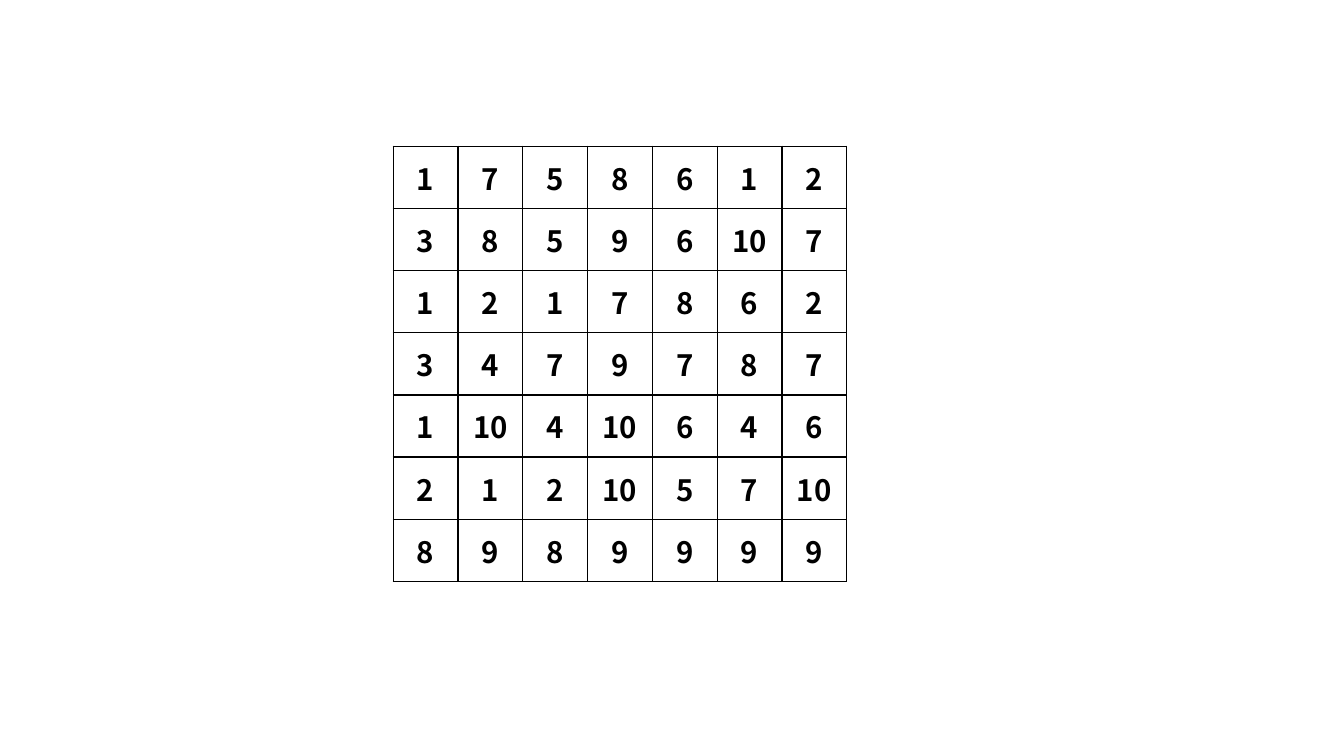
from lxml.etree import SubElement
from pptx import Presentation
from pptx.dml.color import RGBColor
from pptx.enum.text import MSO_ANCHOR, PP_ALIGN
from pptx.oxml.ns import qn
from pptx.util import Inches, Pt

COLORS = {"ink": "000000", "paper": "FFFFFF"}
FONT = "Noto Sans CJK SC"
GRID = [
    [1, 7, 5, 8, 6, 1, 2],
    [3, 8, 5, 9, 6, 10, 7],
    [1, 2, 1, 7, 8, 6, 2],
    [3, 4, 7, 9, 7, 8, 7],
    [1, 10, 4, 10, 6, 4, 6],
    [2, 1, 2, 10, 5, 7, 10],
    [8, 9, 8, 9, 9, 9, 9],
]
SIZE = len(GRID)
WIDTH, HEIGHT = Inches(4.5), Inches(4.32)


def add_border(cell):
    props = cell._tc.get_or_add_tcPr()
    for side in ("a:lnL", "a:lnR", "a:lnT", "a:lnB"):
        line = SubElement(props, qn(side), w=str(Pt(1)))
        fill = SubElement(line, qn("a:solidFill"))
        SubElement(fill, qn("a:srgbClr"), val=COLORS["ink"])


deck = Presentation()
deck.slide_width, deck.slide_height = Inches(13.33), Inches(7.5)
slide = deck.slides.add_slide(deck.slide_layouts[6])

table = slide.shapes.add_table(
    SIZE, SIZE, Inches(3.9), Inches(1.45), WIDTH, HEIGHT).table
table.first_row = table.horz_banding = False
for col in table.columns:
    col.width = WIDTH // SIZE
for row in table.rows:
    row.height = HEIGHT // SIZE

for r, nums in enumerate(GRID):
    for c, num in enumerate(nums):
        cell = table.cell(r, c)
        cell.vertical_anchor = MSO_ANCHOR.MIDDLE
        cell.margin_left = cell.margin_right = Inches(0.12)
        cell.margin_top = cell.margin_bottom = Inches(0.06)
        add_border(cell)
        cell.fill.solid()
        cell.fill.fore_color.rgb = RGBColor.from_string(COLORS["paper"])
        para = cell.text_frame.paragraphs[0]
        para.alignment = PP_ALIGN.CENTER
        run = para.add_run()
        run.text = str(num)
        run.font.name = FONT
        run.font.size = Pt(21)
        run.font.bold = True
        run.font.color.rgb = RGBColor.from_string(COLORS["ink"])

deck.save("out.pptx")
